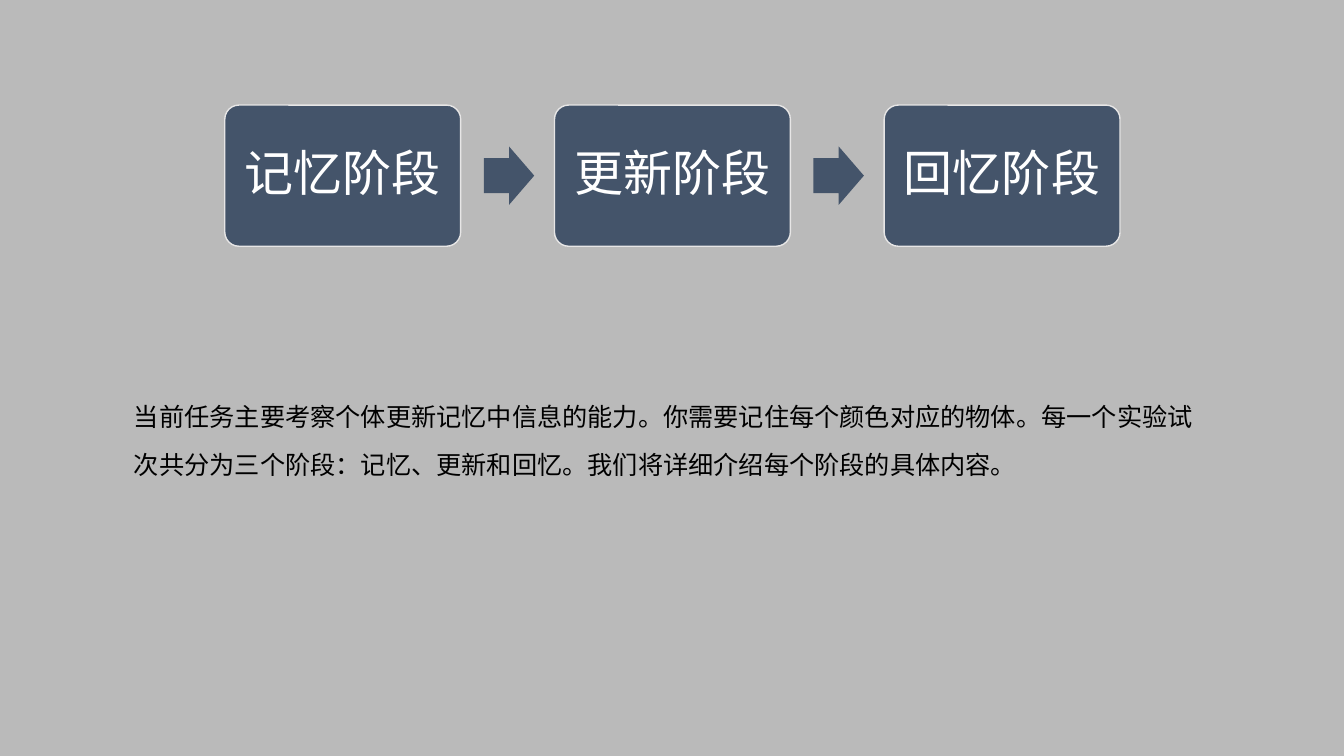
from dataclasses import dataclass

from lxml import etree
from pptx import Presentation, util as u
from pptx.dml.color import RGBColor
from pptx.enum import shapes, text
from pptx.oxml import ns
from pptx.shapes.autoshape import Shape
from pptx.slide import Slide
from pptx.text.text import TextFrame

"""Build the slide that introduces the three stages of the memory task."""


@dataclass(frozen=True)
class Theme:
    background: RGBColor = RGBColor(0xBA, 0xBA, 0xBA)
    stage: RGBColor = RGBColor(0x44, 0x54, 0x6A)
    outline: RGBColor = RGBColor(0xE7, 0xE6, 0xE6)
    light: RGBColor = RGBColor(0xFF, 0xFF, 0xFF)
    dark: RGBColor = RGBColor(0x00, 0x00, 0x00)
    font: str = "Noto Sans CJK SC"
    stage_size: float = 35
    body_size: float = 18


@dataclass(frozen=True)
class Area:
    left: float
    top: float
    width: float
    height: float

    def shifted(self, columns: float) -> "Area":
        return Area(self.left + columns, self.top, self.width, self.height)

    def lengths(self) -> tuple[int, int, int, int]:
        return (int(self.left * COLUMN), int(self.top * ROW),
                int(self.width * COLUMN), int(self.height * ROW))


@dataclass(frozen=True)
class Stage:
    label: str
    position: int


THEME = Theme()
WIDTH, HEIGHT = u.Inches(13.33), u.Inches(7.5)
COLUMN, ROW = WIDTH / 100, HEIGHT / 100
STAGE_PITCH = 24.53
STAGE_AREA = Area(16.73, 13.9, 17.55, 18.67)
ARROW_AREA = Area(36, 19.37, 3.75, 7.73)
INTRO_AREA = Area(9.23, 50, 81.62, 13.2)
STAGES = [Stage(label, position) for position, label in
          enumerate(("记忆阶段", "更新阶段", "回忆阶段"))]
INTRO = ("当前任务主要考察个体更新记忆中信息的能力。你需要记住每个颜色对应的物体。"
         "每一个实验试次共分为三个阶段：记忆、更新和回忆。我们将详细介绍每个阶段的具体内容。")


def write(frame: TextFrame, words: str, size: float, color: RGBColor,
          spacing: float, align: text.PP_ALIGN) -> None:
    """Write one paragraph into a text frame."""
    frame.word_wrap = True
    para = frame.paragraphs[0]
    para.alignment, para.line_spacing = align, spacing
    span = para.add_run()
    span.text = words
    span.font.size = u.Pt(size)
    span.font.color.rgb = color
    span.font.name = THEME.font
    properties = span.font._element
    properties.set("lang", "zh-CN")
    etree.SubElement(properties, ns.qn("a:ea"), typeface=THEME.font)


def add_block(page: Slide, kind: shapes.MSO_SHAPE, area: Area,
              *adjustments: float) -> Shape:
    """Add a preset shape in the stage colour."""
    block = page.shapes.add_shape(kind, *area.lengths())
    block.shadow.inherit = False
    block.fill.solid()
    block.fill.fore_color.rgb = THEME.stage
    block.line.fill.background()
    for index, value in enumerate(adjustments):
        block.adjustments[index] = value
    return block


def add_stage(page: Slide, stage: Stage) -> None:
    """Add a labelled stage box."""
    area = STAGE_AREA.shifted(stage.position * STAGE_PITCH)
    box = add_block(page, shapes.MSO_SHAPE.ROUNDED_RECTANGLE, area, 0.1)
    box.line.color.rgb = THEME.outline
    box.line.width = u.Pt(1)
    frame = box.text_frame
    frame.margin_left = frame.margin_right = u.Inches(0.14)
    frame.margin_top = frame.margin_bottom = u.Inches(0.15)
    frame.vertical_anchor = text.MSO_ANCHOR.MIDDLE
    write(frame, stage.label, THEME.stage_size, THEME.light, 0.9,
          text.PP_ALIGN.CENTER)


def add_intro(page: Slide) -> None:
    """Add the task description."""
    box = page.shapes.add_textbox(*INTRO_AREA.lengths())
    box.text_frame.auto_size = text.MSO_AUTO_SIZE.SHAPE_TO_FIT_TEXT
    write(box.text_frame, INTRO, THEME.body_size, THEME.dark, 1.6,
          text.PP_ALIGN.LEFT)


def main() -> None:
    """Build and save the deck."""
    deck = Presentation()
    deck.slide_width, deck.slide_height = WIDTH, HEIGHT
    page = deck.slides.add_slide(deck.slide_layouts[6])
    page.background.fill.solid()
    page.background.fill.fore_color.rgb = THEME.background
    add_intro(page)
    for stage in STAGES:
        add_stage(page, stage)
    for stage in STAGES[:-1]:
        area = ARROW_AREA.shifted(stage.position * STAGE_PITCH)
        add_block(page, shapes.MSO_SHAPE.RIGHT_ARROW, area, 0.6, 0.5)
    deck.save("out.pptx")


if __name__ == "__main__":
    main()
